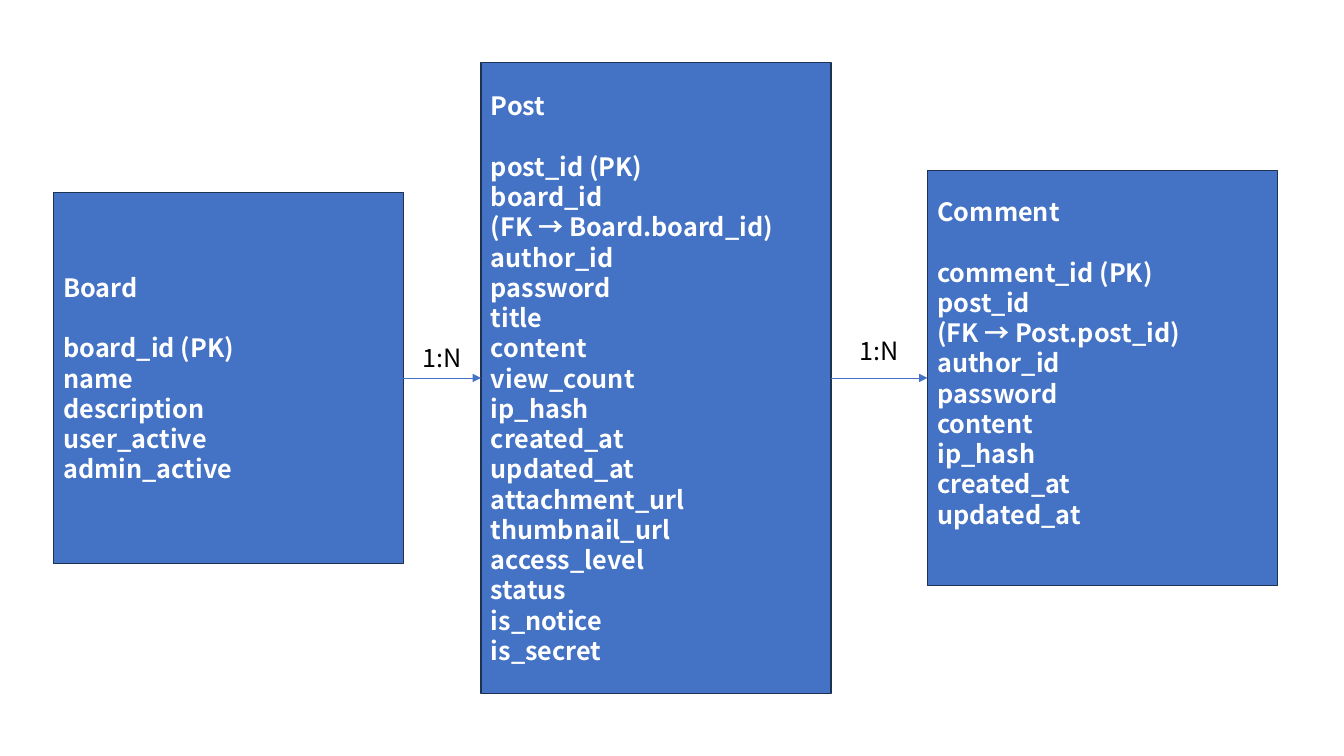
from pptx import Presentation
from pptx.dml.color import RGBColor
from pptx.enum.shapes import MSO_CONNECTOR, MSO_SHAPE
from pptx.enum.text import MSO_ANCHOR, MSO_AUTO_SIZE, PP_ALIGN
from pptx.oxml.ns import qn
from pptx.util import Pt
from lxml.etree import SubElement

BLUE = RGBColor(0x44, 0x72, 0xC4)
NAVY = RGBColor(0x1E, 0x32, 0x56)
WHITE = RGBColor(0xFF, 0xFF, 0xFF)
BLACK = RGBColor(0x00, 0x00, 0x00)

FONT = "Noto Sans CJK KR"
FONT_SIZE = 18
LINE_PITCH = 21.6
SLIDE_WIDTH = 960
SLIDE_HEIGHT = 540
ENTITY_WIDTH = 250
LABEL_WIDTH = 42.5
LABEL_HEIGHT = 29
RIGHT_SIDE = 3
LEFT_SIDE = 1

BOARD_FIELDS = ["board_id (PK)", "name", "description", "user_active", "admin_active"]
POST_FIELDS = [
    "post_id (PK)", "board_id", "(FK → Board.board_id)", "author_id", "password",
    "title", "content", "view_count", "ip_hash", "created_at", "updated_at",
    "attachment_url", "thumbnail_url", "access_level", "status", "is_notice",
    "is_secret",
]
COMMENT_FIELDS = [
    "comment_id (PK)", "post_id", "(FK → Post.post_id)", "author_id", "password",
    "content", "ip_hash", "created_at", "updated_at",
]


def format_text(text_frame, color, bold=False):
    for paragraph in text_frame.paragraphs:
        paragraph.alignment = PP_ALIGN.LEFT
        paragraph.line_spacing = Pt(LINE_PITCH)
        for run in paragraph.runs:
            run.font.name = FONT
            run.font.size = Pt(FONT_SIZE)
            run.font.bold = bold
            run.font.color.rgb = color


def add_entity(slide, title, fields, left, height, bottom_margin=3.6):
    top = (SLIDE_HEIGHT - height) / 2
    shape = slide.shapes.add_shape(
        MSO_SHAPE.RECTANGLE, Pt(left), Pt(top), Pt(ENTITY_WIDTH), Pt(height)
    )
    shape.shadow.inherit = False
    shape.fill.solid()
    shape.fill.fore_color.rgb = BLUE
    shape.line.color.rgb = NAVY
    shape.line.width = Pt(1)
    text_frame = shape.text_frame
    text_frame.word_wrap = True
    text_frame.vertical_anchor = MSO_ANCHOR.MIDDLE
    text_frame.margin_bottom = Pt(bottom_margin)
    text_frame.text = "\n".join([title, *fields])
    format_text(text_frame, WHITE, bold=True)
    text_frame.paragraphs[0].space_after = Pt(LINE_PITCH)
    return shape


def add_relation(slide, parent, child, label_top):
    middle = Pt(SLIDE_HEIGHT / 2)
    start = parent.left + parent.width
    connector = slide.shapes.add_connector(
        MSO_CONNECTOR.STRAIGHT, start, middle, child.left, middle
    )
    connector.begin_connect(parent, RIGHT_SIDE)
    connector.end_connect(child, LEFT_SIDE)
    connector.line.color.rgb = BLUE
    connector.line.width = Pt(0.5)
    properties = connector._element.spPr
    SubElement(properties.find(qn("a:ln")), qn("a:tailEnd"), type="triangle")
    SubElement(properties, qn("a:effectLst"))

    label_left = (start + child.left - Pt(LABEL_WIDTH)) // 2
    label = slide.shapes.add_textbox(
        label_left, Pt(label_top), Pt(LABEL_WIDTH), Pt(LABEL_HEIGHT)
    )
    label.text_frame.word_wrap = False
    label.text_frame.auto_size = MSO_AUTO_SIZE.SHAPE_TO_FIT_TEXT
    label.text_frame.text = "1:N"
    format_text(label.text_frame, BLACK)


def main():
    presentation = Presentation()
    presentation.slide_width = Pt(SLIDE_WIDTH)
    presentation.slide_height = Pt(SLIDE_HEIGHT)
    slide = presentation.slides.add_slide(presentation.slide_layouts[6])

    board = add_entity(slide, "Board", BOARD_FIELDS, 38.2, 265.4)
    post = add_entity(slide, "Post", POST_FIELDS, 343.6, 450.8)
    comment = add_entity(
        slide, "Comment", COMMENT_FIELDS, 662.5, 296.6, bottom_margin=3.6 + LINE_PITCH
    )
    add_relation(slide, board, post, label_top=241.2)
    add_relation(slide, post, comment, label_top=236)

    presentation.save("out.pptx")


if __name__ == "__main__":
    main()
